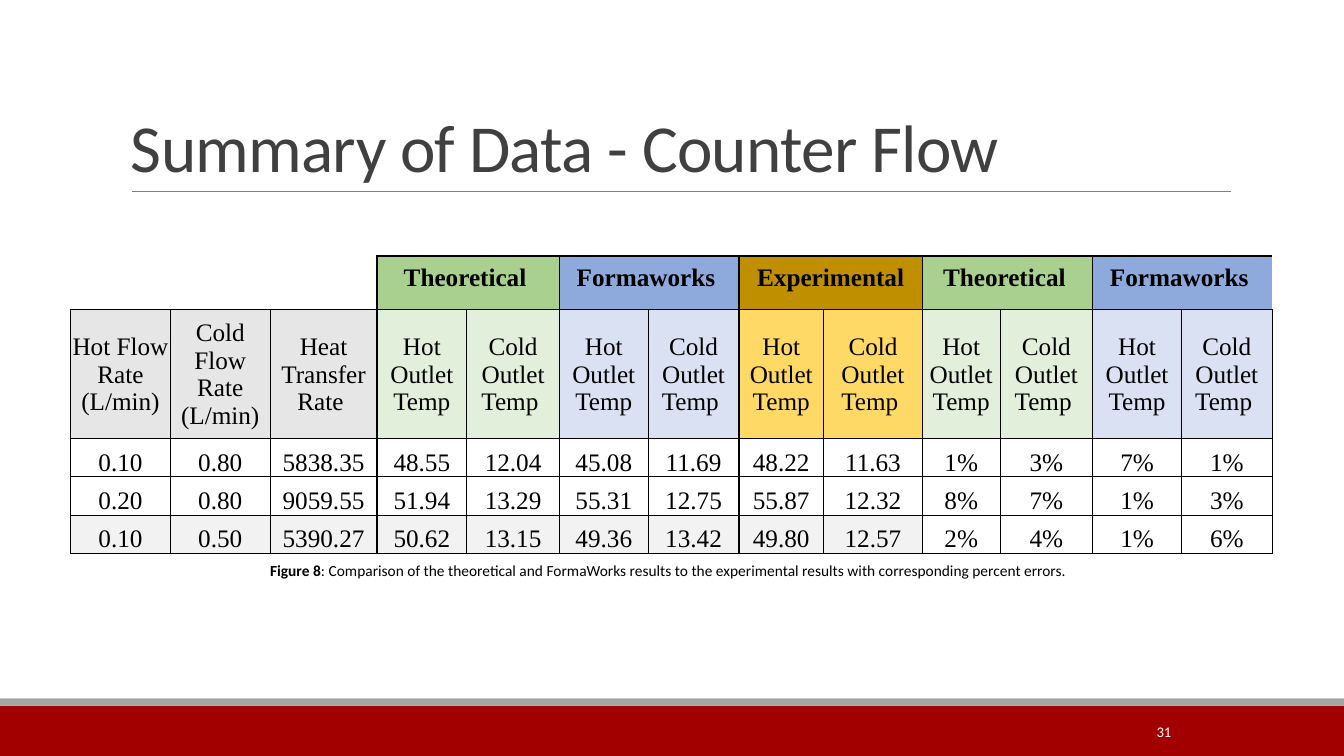
from lxml import etree
from pptx import Presentation
from pptx.dml.color import RGBColor
from pptx.enum.shapes import MSO_CONNECTOR, MSO_SHAPE
from pptx.enum.text import MSO_ANCHOR, PP_ALIGN
from pptx.oxml.ns import qn
from pptx.util import Inches, Pt

RECT, LINE = MSO_SHAPE.RECTANGLE, MSO_CONNECTOR.STRAIGHT
TOP, MIDDLE, BOTTOM = MSO_ANCHOR.TOP, MSO_ANCHOR.MIDDLE, MSO_ANCHOR.BOTTOM
LEFT, CENTER = PP_ALIGN.LEFT, PP_ALIGN.CENTER
WIDE, HIGH = 13.33, 7.5
SANS, SERIF = "Calibri", "Times New Roman"
PLAIN = "{2D5ABB26-0587-4C30-8999-92F81FD0307C}"

COLORS = {
    "black": "000000", "white": "FFFFFF", "title": "404040", "rule": "808080",
    "red": "A20000", "gray": "A5A5A5", "input": "E7E6E6", "stripe": "F2F2F2",
    "green": "A9D08E", "mint": "E2EFDA", "blue": "8EA9DB", "sky": "D9E1F2",
    "gold": "BF8F00", "sand": "FFD966",
}

COLS = [0.99, 0.99, 1.06, 0.89, 0.92, 0.88, 0.9, 0.84, 0.98, 0.77, 0.92, 0.88, 0.9]
ROWS = [0.53, 1.28] + [0.38] * 3
INPUTS = ["Hot Flow Rate (L/min)", "Cold Flow Rate (L/min)", "Heat Transfer Rate "]
OUTLETS = ["Hot Outlet Temp", "Cold Outlet Temp "]
THEORY = ("Theoretical ", "green", "mint")
MODEL = ("Formaworks ", "blue", "sky")
TRIAL = ("Experimental", "gold", "sand")
GROUPS = [THEORY, MODEL, TRIAL, THEORY, MODEL]
DATA = [
    "0.10 0.80 5838.35 48.55 12.04 45.08 11.69 48.22 11.63 1% 3% 7% 1%".split(),
    "0.20 0.80 9059.55 51.94 13.29 55.31 12.75 55.87 12.32 8% 7% 1% 3%".split(),
    "0.10 0.50 5390.27 50.62 13.15 49.36 13.42 49.80 12.57 2% 4% 1% 6%".split(),
]
FIRST = len(INPUTS)
STRIPED = 9
THICK_COLS, THICK_ROWS = {0, 3, 5, 7, 9, 13}, {0, 1, 2, 5}


def color(name):
    return RGBColor.from_string(COLORS[name])


def style(font, size, face, tint, bold=False):
    font.size, font.name, font.bold = Pt(size), face, bold
    font.color.rgb = color(tint)


def add_text(slide, box, text, size, tint, align=LEFT, anchor=TOP):
    frame = slide.shapes.add_textbox(*map(Inches, box)).text_frame
    frame.word_wrap, frame.vertical_anchor = True, anchor
    para = frame.paragraphs[0]
    para.text, para.alignment = text, align
    style(para.runs[0].font, size, SANS, tint)
    return para


def add_bar(slide, box, tint):
    bar = slide.shapes.add_shape(RECT, *map(Inches, box))
    bar.shadow.inherit = False
    bar.fill.solid()
    bar.fill.fore_color.rgb = color(tint)
    bar.line.fill.background()


def add_footer(slide, box, number):
    x, y, w, h = box
    strip = 0.07
    add_bar(slide, (x, y + strip, w, h - strip), "red")
    add_bar(slide, (x, y, w, strip), "gray")
    add_text(slide, (x + w - 2.5, y + 0.13, 1.43, 0.4), number, 10.5, "white", CENTER, MIDDLE)


def add_title(slide, box, text):
    x, y, w, h = box
    rule = slide.shapes.add_connector(
        LINE, *map(Inches, (x + 0.11, y + h, x + w + 0.01, y + h)))
    rule.line.color.rgb, rule.line.width = color("rule"), Pt(0.5)
    etree.SubElement(rule._element.spPr, qn("a:effectLst"))
    para = add_text(slide, box, text, 48, "title", anchor=BOTTOM)
    para.line_spacing = 0.85
    para.runs[0].font._element.set("spc", "-50")


def add_border(cell, side, width):
    props = cell._tc.get_or_add_tcPr()
    edge = etree.SubElement(props, qn("a:ln" + side), w=str(Pt(width)))
    fill = etree.SubElement(edge, qn("a:solidFill"))
    etree.SubElement(fill, qn("a:srgbClr"), val=COLORS["black"])


def frame_cell(cell, row, col):
    """Rule a cell: heavy lines around groups, light lines within them."""
    if row == 0 and col < FIRST:
        if col == FIRST - 1:
            add_border(cell, "R", 1)
        add_border(cell, "B", 1)
        return
    thick = THICK_COLS | {11} if row < 2 else THICK_COLS
    for side, edge in (("L", col), ("R", col + 1)):
        if row > 0 or edge in thick:
            add_border(cell, side, 1 if edge in thick else 0.5)
    for side, edge in (("T", row), ("B", row + 1)):
        add_border(cell, side, 1 if edge in THICK_ROWS else 0.5)


def cell_fill(row, col):
    if row < 2:
        if col < FIRST:
            return "input" if row else None
        return GROUPS[(col - FIRST) // 2][row + 1]
    return "stripe" if row == len(ROWS) - 1 and col < STRIPED else None


def cell_text(row, col):
    if row > 1:
        return DATA[row - 2][col]
    if row == 1:
        return (INPUTS + OUTLETS * len(GROUPS))[col]
    group, second = divmod(col - FIRST, 2)
    return "" if col < FIRST or second else GROUPS[group][0]


def fill_cell(cell, row, col):
    frame_cell(cell, row, col)
    tint = cell_fill(row, col)
    if tint:
        cell.fill.solid()
        cell.fill.fore_color.rgb = color(tint)
    else:
        cell.fill.background()
    side, top, base = (0.16, 0.08, 0.08) if row == 0 else (0.01, 0.01, 0)
    cell.margin_left = cell.margin_right = Inches(side)
    cell.margin_top, cell.margin_bottom = Inches(top), Inches(base)
    cell.vertical_anchor = (TOP, MIDDLE)[row] if row < 2 else BOTTOM
    para = cell.text_frame.paragraphs[0]
    para.text, para.alignment = cell_text(row, col), CENTER
    for run in para.runs:
        style(run.font, 18, SERIF, "black", row == 0)


def add_results(slide, box):
    shape = slide.shapes.add_table(len(ROWS), len(COLS), *map(Inches, box))
    table = shape.table
    table._tbl.tblPr.find(qn("a:tableStyleId")).text = PLAIN
    table.first_row = table.horz_banding = False
    for col, width in zip(table.columns, COLS):
        col.width = Inches(width)
    for row, height in zip(table.rows, ROWS):
        row.height = Inches(height)
    for row in range(len(ROWS)):
        for col in range(len(COLS)):
            fill_cell(table.cell(row, col), row, col)
    for col in range(FIRST, len(COLS), 2):
        table.cell(0, col).merge(table.cell(0, col + 1))


def add_caption(slide, box, label, text):
    para = add_text(slide, box, label, 11, "black")
    para.runs[0].font.bold = True
    run = para.add_run()
    run.text = text
    style(run.font, 11, SANS, "black")


def main():
    deck = Presentation()
    deck.slide_width, deck.slide_height = Inches(WIDE), Inches(HIGH)
    slide = deck.slides.add_slide(deck.slide_layouts[6])
    add_footer(slide, (0, 6.93, WIDE, HIGH - 6.93), "31")
    add_title(slide, (1.2, 0.31, 11, 1.59), "Summary of Data - Counter Flow")
    add_results(slide, (0.7, 2.54, sum(COLS), sum(ROWS)))
    add_caption(slide, (2.58, 5.52, 8.17, 0.29), "Figure 8",
                ": Comparison of the theoretical and FormaWorks results to the "
                "experimental results with corresponding percent errors.")
    deck.save("out.pptx")


if __name__ == "__main__":
    main()
